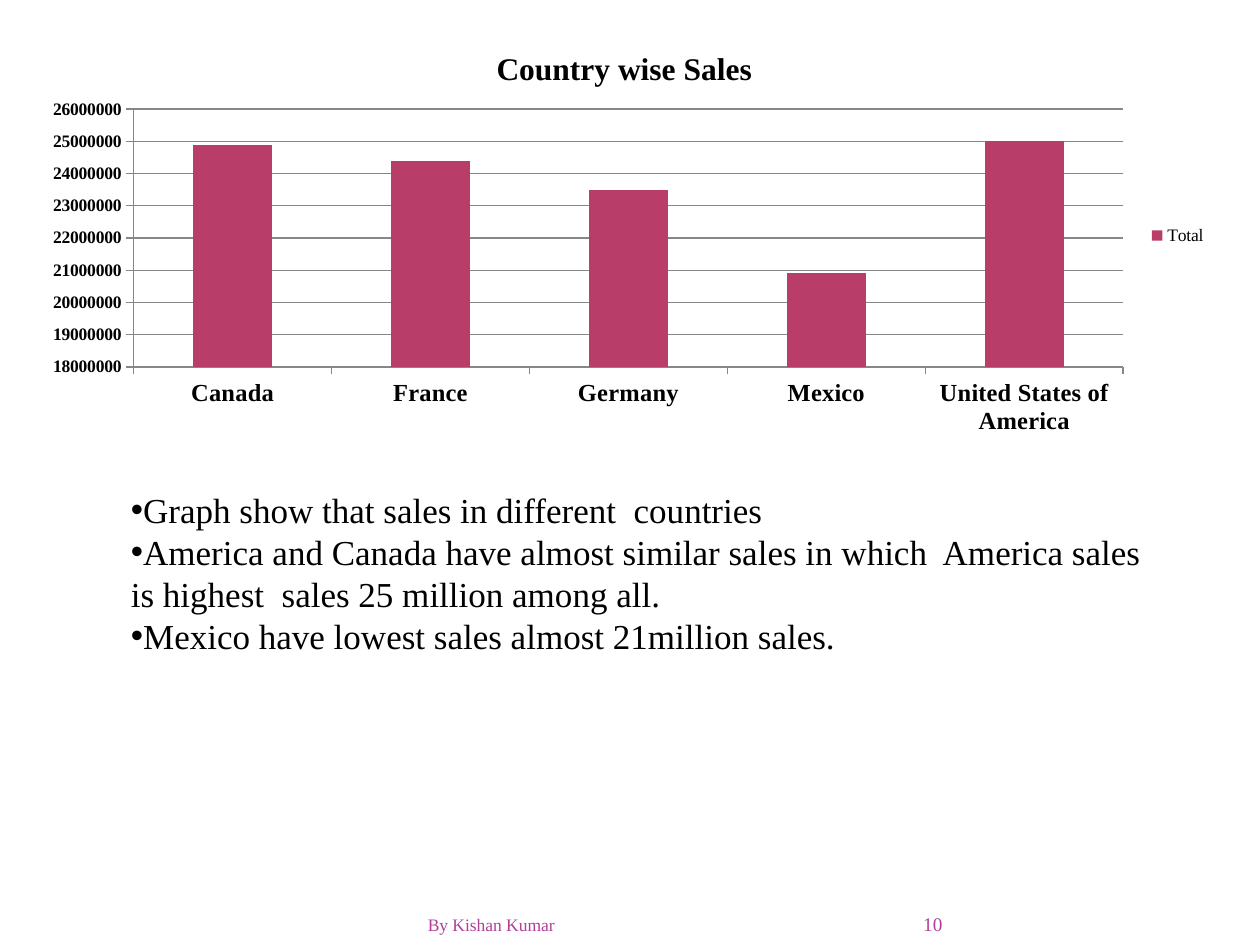
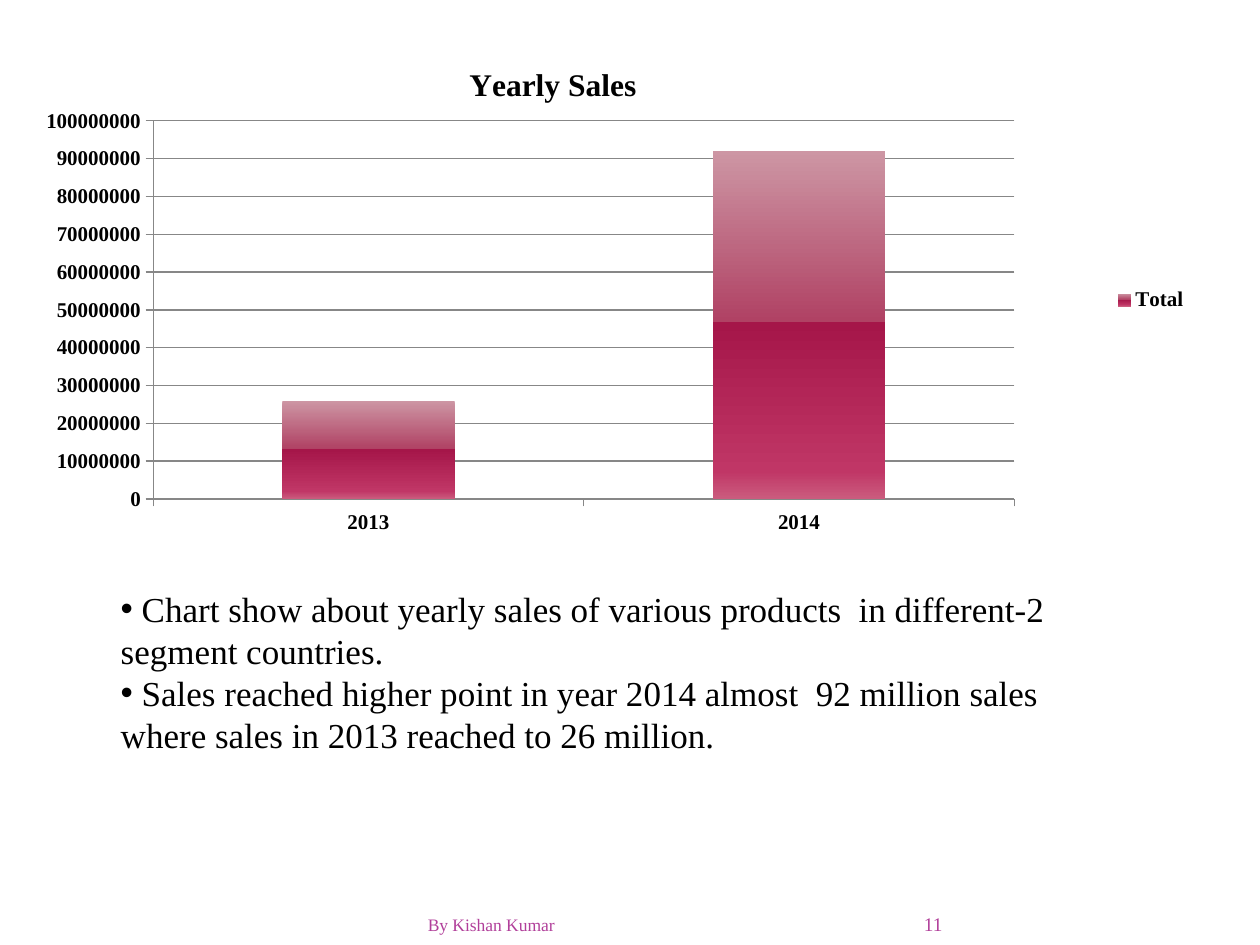
from copy import deepcopy

from lxml import etree
from pptx import Presentation
from pptx import util as u
from pptx.chart import data as chart_data
from pptx.dml import color as dml
from pptx.enum import chart as charts, text
from pptx.oxml import ns

FONT = "Times New Roman"
BLACK = "000000"
BERRY = "B83D68"
GREY = "878787"
FOOTER = "B13F9A"
GLOSS = [(0, "CD96A4"), (49, "B04264"), (49.1, "A51649"), (92, "C03666"), (100, "CB5C7E")]


def rgb(value):
    return dml.RGBColor.from_string(value)


def write(page, lines, at, size, color=BLACK, align=text.PP_ALIGN.LEFT,
          anchor=text.MSO_ANCHOR.TOP, margins=(0.1, 0.05), bullet=None):
    box = page.shapes.add_textbox(*[u.Inches(length) for length in at])
    frame = box.text_frame
    frame.word_wrap = True
    frame.vertical_anchor = anchor
    frame.margin_left = frame.margin_right = u.Inches(margins[0])
    frame.margin_top = frame.margin_bottom = u.Inches(margins[1])
    for index, line in enumerate(lines):
        para = frame.paragraphs[0] if index == 0 else frame.add_paragraph()
        para.alignment = align
        span = para.add_run()
        span.text = line
        span.font.name = FONT
        span.font.size = u.Pt(size)
        span.font.color.rgb = rgb(color)
        if bullet:
            properties = para._p.get_or_add_pPr()
            etree.SubElement(properties, ns.qn("a:buFont"), typeface="Arial")
            etree.SubElement(properties, ns.qn("a:buChar"), char=bullet)


sales_pages = [
    dict(
        number="10",
        title="Country wise Sales",
        title_place=None,
        at=(0.23, 0.23, 9.45, 3.28),
        plot=dict(x=0.088, y=0.194, w=0.831, h=0.624),
        sales={"Canada": 24900000, "France": 24400000, "Germany": 23500000,
               "Mexico": 20900000, "United States of America": 25000000},
        scale=(18000000, 26000000, 1000000),
        sizes=(14, 10, 10),
        bold_legend=False,
        glossy=False,
        notes_at=(0.94, 3.83, 8.28, 1.78),
        notes=["Graph show that sales in different  countries",
               "America and Canada have almost similar sales in which  America sales "
               "is highest  sales 25 million among all.",
               "Mexico have lowest sales almost 21million sales."],
    ),
    dict(
        number="11",
        title="Yearly Sales",
        title_place=dict(x=0.371, y=0.04),
        at=(0.23, 0.31, 9.3, 4.14),
        plot=dict(x=0.106, y=0.157, w=0.735, h=0.725),
        sales={"2013": 26000000, "2014": 92000000},
        scale=(0, 100000000, 10000000),
        sizes=(12, 12, 12),
        bold_legend=True,
        glossy=True,
        notes_at=(0.86, 4.61, 8.05, 2.46),
        notes=[" Chart show about yearly sales of various products  in different-2 "
               "segment countries.",
               " Sales reached higher point in year 2014 almost  92 million sales "
               "where sales in 2013 reached to 26 million."],
    ),
]

deck = Presentation()
deck.slide_width = u.Inches(10)
deck.slide_height = u.Inches(7.5)

for content in sales_pages:
    page = deck.slides.add_slide(deck.slide_layouts[6])

    figures = chart_data.CategoryChartData(number_format="General")
    figures.categories = list(content["sales"])
    figures.add_series("Total", list(content["sales"].values()))
    chart = page.shapes.add_chart(
        charts.XL_CHART_TYPE.COLUMN_CLUSTERED,
        *[u.Inches(length) for length in content["at"]], figures).chart
    chart.font.name = FONT
    chart.font.size = u.Pt(10)
    chart.font.color.rgb = rgb(BLACK)

    chart.has_title = True
    title_frame = chart.chart_title.text_frame
    title_frame.text = content["title"]
    title_font = title_frame.paragraphs[0].runs[0].font
    title_font.name = FONT
    title_font.size = u.Pt(18)
    title_font.bold = True
    title_font.color.rgb = rgb(BLACK)
    chart.chart_title.include_in_layout = False

    category_size, value_size, legend_size = content["sizes"]
    chart.has_legend = True
    chart.legend.position = charts.XL_LEGEND_POSITION.RIGHT
    chart.legend.include_in_layout = False
    chart.legend.font.name = FONT
    chart.legend.font.size = u.Pt(legend_size)
    chart.legend.font.bold = content["bold_legend"]

    for axis, size in ((chart.category_axis, category_size), (chart.value_axis, value_size)):
        axis.tick_labels.font.name = FONT
        axis.tick_labels.font.size = u.Pt(size)
        axis.tick_labels.font.bold = True
        axis.major_tick_mark = charts.XL_TICK_MARK.OUTSIDE
        axis.minor_tick_mark = charts.XL_TICK_MARK.NONE
        axis.format.line.color.rgb = rgb(GREY)
        axis.format.line.width = u.Pt(0.75)
    values = chart.value_axis
    values.minimum_scale, values.maximum_scale, values.major_unit = content["scale"]
    values.has_major_gridlines = True
    values.major_gridlines.format.line.color.rgb = rgb(GREY)
    values.major_gridlines.format.line.width = u.Pt(0.75)

    plot = chart.plots[0]
    plot.gap_width = 150
    plot.vary_by_categories = False
    total = plot.series[0]
    total.invert_if_negative = False
    fill = total.format.fill
    if content["glossy"]:
        fill.gradient()
        fill.gradient_angle = 270
        stops = total._element.find(".//" + ns.qn("a:gsLst"))
        pattern = deepcopy(stops[0])
        for stop in list(stops):
            stops.remove(stop)
        for position, shade in GLOSS:
            stop = deepcopy(pattern)
            stop.set("pos", str(round(position * 1000)))
            stop.remove(stop[0])
            etree.SubElement(stop, ns.qn("a:srgbClr"), val=shade)
            stops.append(stop)
    else:
        fill.solid()
        fill.fore_color.rgb = rgb(BERRY)

    plot_area = chart._chartSpace.find(".//" + ns.qn("c:plotArea"))
    placements = [(plot_area, 0, content["plot"]),
                  (chart.chart_title._element, 1, content["title_place"])]
    for part, index, place in placements:
        if place is None:
            continue
        for old in part.findall(ns.qn("c:layout")):
            part.remove(old)
        layout = etree.Element(ns.qn("c:layout"))
        manual = etree.SubElement(layout, ns.qn("c:manualLayout"))
        if "w" in place:
            etree.SubElement(manual, ns.qn("c:layoutTarget"), val="inner")
        for mode in ("xMode", "yMode"):
            etree.SubElement(manual, ns.qn("c:" + mode), val="edge")
        for side, fraction in place.items():
            etree.SubElement(manual, ns.qn("c:" + side), val=str(fraction))
        part.insert(index, layout)

    write(page, content["notes"], content["notes_at"], 20, bullet="•")
    write(page, [content["number"]], (6.84, 7.17, 0.64, 0.25), 11, color=FOOTER,
          align=text.PP_ALIGN.RIGHT, anchor=text.MSO_ANCHOR.BOTTOM, margins=(0, 0))
    write(page, ["By Kishan Kumar"], (0.5, 7.17, 4, 0.25), 10, color=FOOTER,
          align=text.PP_ALIGN.RIGHT, anchor=text.MSO_ANCHOR.BOTTOM, margins=(0.1, 0))

deck.save("out.pptx")
